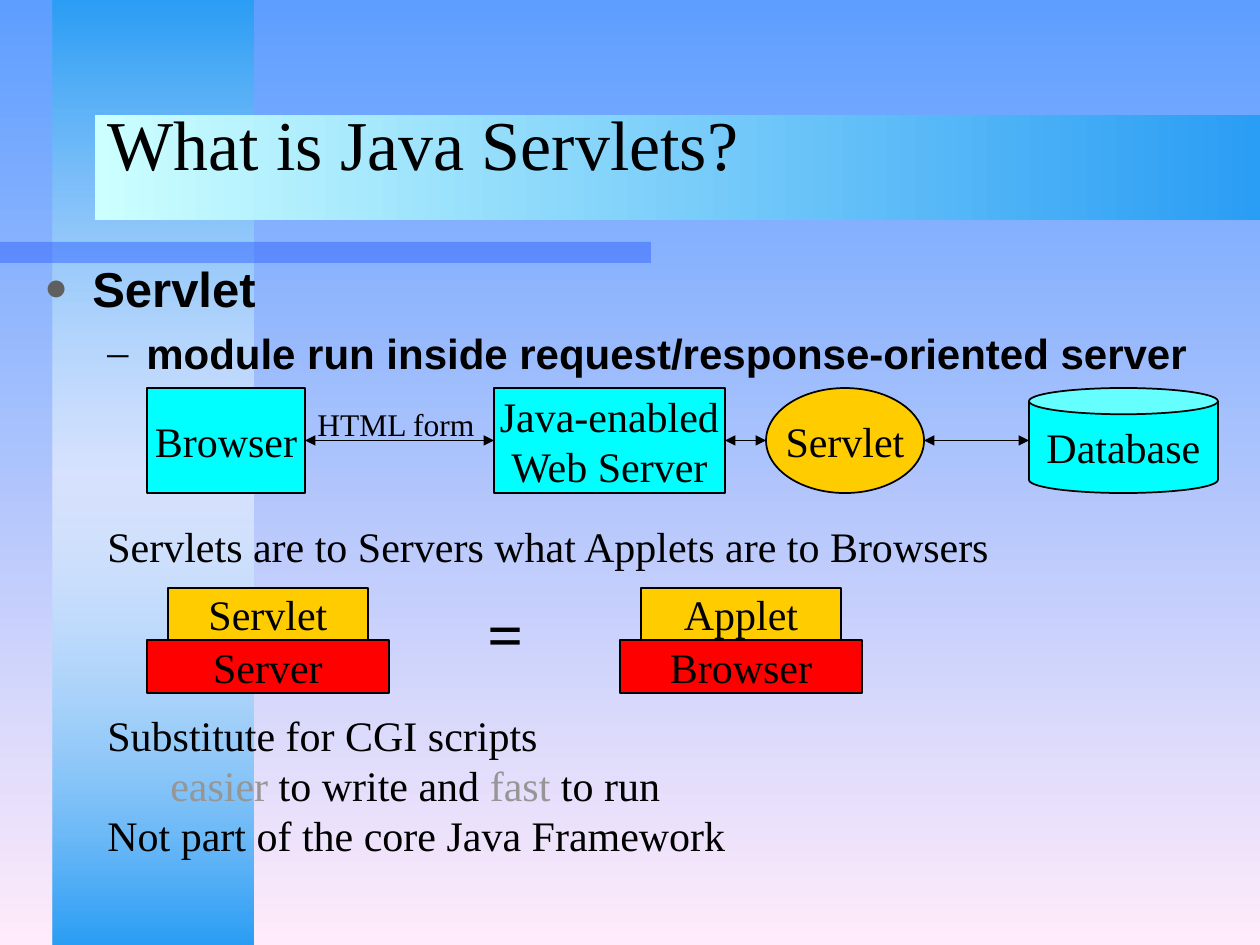
"""Build the slide that explains Java servlets."""
from lxml import etree
from pptx import Presentation
from pptx.dml.color import RGBColor
from pptx.enum.shapes import MSO_CONNECTOR, MSO_SHAPE
from pptx.enum.text import MSO_ANCHOR, PP_ALIGN
from pptx.oxml.ns import qn
from pptx.util import Emu, Pt

RECT, OVAL, CAN = MSO_SHAPE.RECTANGLE, MSO_SHAPE.OVAL, MSO_SHAPE.CAN
STRAIGHT = MSO_CONNECTOR.STRAIGHT
MIDDLE, TOP = MSO_ANCHOR.MIDDLE, MSO_ANCHOR.TOP
CENTER = PP_ALIGN.CENTER
LEFT, RIGHT = 1, 3
SERIF, SANS = "Times New Roman", "Arial"
COLORS = {
    "black": "000000", "grey": "969696", "bullet": "5F5F5F",
    "cyan": "00FFFF", "gold": "FFCC00", "red": "FF0000",
    "sky": "5E9EFF", "pink": "FFEBFA", "blue": "2A9DF4",
    "white": "FFFFFF", "mint": "CCFFFF", "royal": "3366FF",
}


def px(n):
    return Emu(round(n * 914400 / 126))


def rgb(name):
    return RGBColor.from_string(COLORS[name])


def add_color(parent, name, alpha=100):
    color = etree.SubElement(parent, qn("a:srgbClr"), val=COLORS[name])
    if alpha < 100:
        etree.SubElement(color, qn("a:alpha"), val=str(alpha * 1000))


def set_gradient(fill, root, stops, angle):
    fill.solid()
    solid = next(root.iter(qn("a:solidFill")))
    grad = etree.Element(qn("a:gradFill"), rotWithShape="1")
    stop_list = etree.SubElement(grad, qn("a:gsLst"))
    for pos, name, alpha in stops:
        stop = etree.SubElement(stop_list, qn("a:gs"), pos=str(pos * 1000))
        add_color(stop, name, alpha)
    etree.SubElement(grad, qn("a:lin"), ang=str(angle * 60000), scaled="0")
    solid.getparent().replace(solid, grad)


def add_band(s, box, stops, angle=0):
    sp = s.shapes.add_shape(RECT, *map(px, box))
    sp.shadow.inherit = False
    sp.line.fill.background()
    set_gradient(sp.fill, sp._element.spPr, stops, angle)


def style(p, size, font=SERIF, bold=False):
    p.font.size, p.font.name, p.font.bold = Pt(size), font, bold
    p.font.color.rgb = rgb("black")


def add_text(s, box, lines, size=24, bold=False, anchor=TOP, wrap=True):
    """Add a text box; each line is (level, runs) and each run (text, colour)."""
    tf = s.shapes.add_textbox(*map(px, box)).text_frame
    tf.word_wrap, tf.vertical_anchor = wrap, anchor
    for i, (level, runs) in enumerate(lines):
        p = tf.add_paragraph() if i else tf.paragraphs[0]
        p.level = level
        p._p.get_or_add_pPr().set("marL", str(px(63 * level)))
        style(p, size, bold=bold)
        for text, color in runs:
            r = p.add_run()
            r.text = text
            r.font.color.rgb = rgb(color)


def plain(text, level=0):
    return level, [(text, "black")]


def add_bullets(s, box, items):
    tf = s.shapes.add_textbox(*map(px, box)).text_frame
    tf.word_wrap = True
    for i, (text, size, before, margin, hang, char, color, scale) in enumerate(items):
        p = tf.add_paragraph() if i else tf.paragraphs[0]
        p.text, p.level, p.space_before = text, i, Pt(before)
        style(p, size, SANS, True)
        pPr = p._p.get_or_add_pPr()
        pPr.set("marL", str(px(margin)))
        pPr.set("indent", str(-px(hang)))
        bullet = [etree.Element(qn("a:buClr")),
                  etree.Element(qn("a:buSzPct"), val=str(scale * 1000)),
                  etree.Element(qn("a:buFont"), typeface=SERIF),
                  etree.Element(qn("a:buChar"), char=char)]
        add_color(bullet[0], color)
        pPr.find(qn("a:defRPr")).addprevious(bullet[0])
        for before_el, el in zip(bullet, bullet[1:]):
            before_el.addnext(el)


def add_node(s, kind, box, text, color):
    sp = s.shapes.add_shape(kind, *map(px, box))
    sp.shadow.inherit = False
    sp.fill.solid()
    sp.fill.fore_color.rgb = rgb(color)
    sp.line.color.rgb, sp.line.width = rgb("black"), Pt(1)
    tf = sp.text_frame
    tf.word_wrap, tf.vertical_anchor = False, MIDDLE
    for i, line in enumerate(text.split("\n")):
        p = tf.add_paragraph() if i else tf.paragraphs[0]
        p.text, p.alignment = line, CENTER
        style(p, 24)
    return sp


def add_arrow(s, a, b):
    """Join two neighbours with a double-headed arrow."""
    y = a.top + a.height // 2
    c = s.shapes.add_connector(STRAIGHT, a.left + a.width, y, b.left, y)
    if a.auto_shape_type == RECT:
        c.begin_connect(a, RIGHT)
    if b.auto_shape_type == RECT:
        c.end_connect(b, LEFT)
    c.line.color.rgb, c.line.width = rgb("black"), Pt(1)
    ln = c.line._get_or_add_ln()
    for tag in ("a:headEnd", "a:tailEnd"):
        etree.SubElement(ln, qn(tag), type="triangle")
    etree.SubElement(c._element.spPr, qn("a:effectLst"))


def add_stack(s, x, upper, lower):
    add_node(s, RECT, (x, 640, 242, 53), lower, "red")
    add_node(s, RECT, (x + 21, 588, 200, 52), upper, "gold")


def main():
    prs = Presentation()
    prs.slide_width, prs.slide_height = px(1260), px(945)
    s = prs.slides.add_slide(prs.slide_layouts[6])
    set_gradient(s.background.fill, s._element,
                 [(0, "sky", 100), (100, "pink", 100)], 90)
    add_band(s, (53, 0, 200, 945),
             [(0, "blue", 100), (50, "white", 50), (100, "blue", 100)], 90)
    add_band(s, (95, 115, 1165, 105), [(0, "mint", 100), (100, "blue", 100)])
    add_band(s, (0, 242, 651, 21), [(0, "royal", 50), (100, "royal", 50)])

    add_text(s, (95, 63, 1071, 158), [plain("What is Java Servlets?")], 40, anchor=MIDDLE)
    add_bullets(s, (32, 252, 1207, 136), [
        ("Servlet", 28, 7, 48, 48, "●", "bullet", 80),
        ("module run inside request/response-oriented server",
         24, 6, 102, 39, "–", "black", 100),
    ])

    nodes = [add_node(s, kind, (x, 388, w, 105), text, color)
             for kind, x, w, text, color in (
                 (RECT, 147, 158, "Browser", "cyan"),
                 (RECT, 494, 231, "Java-enabled\nWeb Server", "cyan"),
                 (OVAL, 766, 158, "Servlet", "gold"),
                 (CAN, 1029, 189, "Database", "cyan"))]
    for a, b in zip(nodes, nodes[1:]):
        add_arrow(s, a, b)
    add_text(s, (305, 399, 192, 50), [plain("HTML form")], 18)

    add_stack(s, 147, "Servlet", "Server")
    add_text(s, (475, 588, 60, 88), [plain("=")], 36, bold=True, wrap=False)
    add_stack(s, 620, "Applet", "Browser")

    add_text(s, (32, 514, 1207, 63),
             [plain("Servlets are to Servers what Applets are to Browsers", 1)])
    add_text(s, (32, 703, 1207, 189), [
        plain("Substitute for CGI scripts", 1),
        (2, [("easier", "grey"), (" to write and ", "black"),
             ("fast", "grey"), (" to run", "black")]),
        plain("Not part of the core Java Framework", 1),
    ])
    prs.save("out.pptx")


if __name__ == "__main__":
    main()
